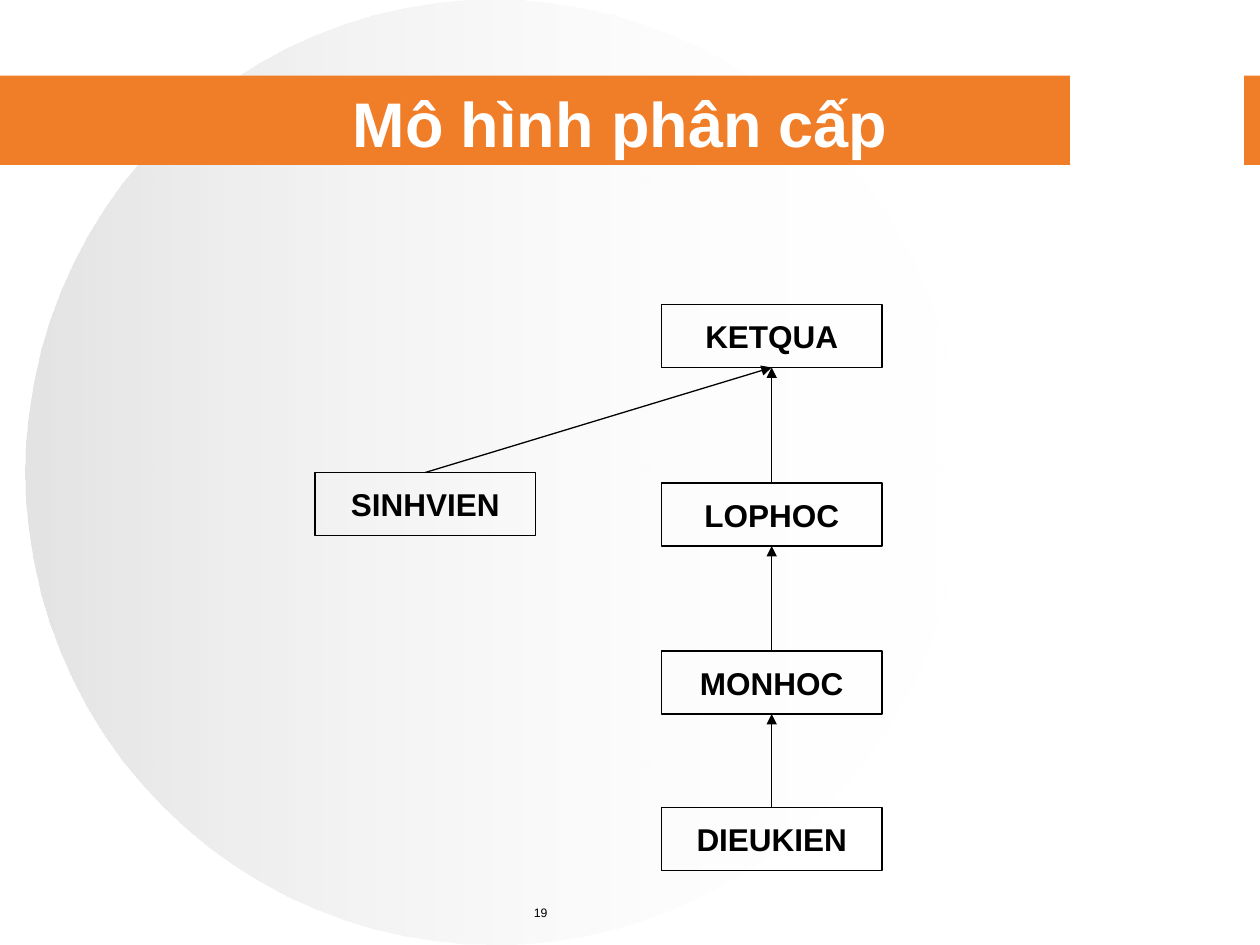
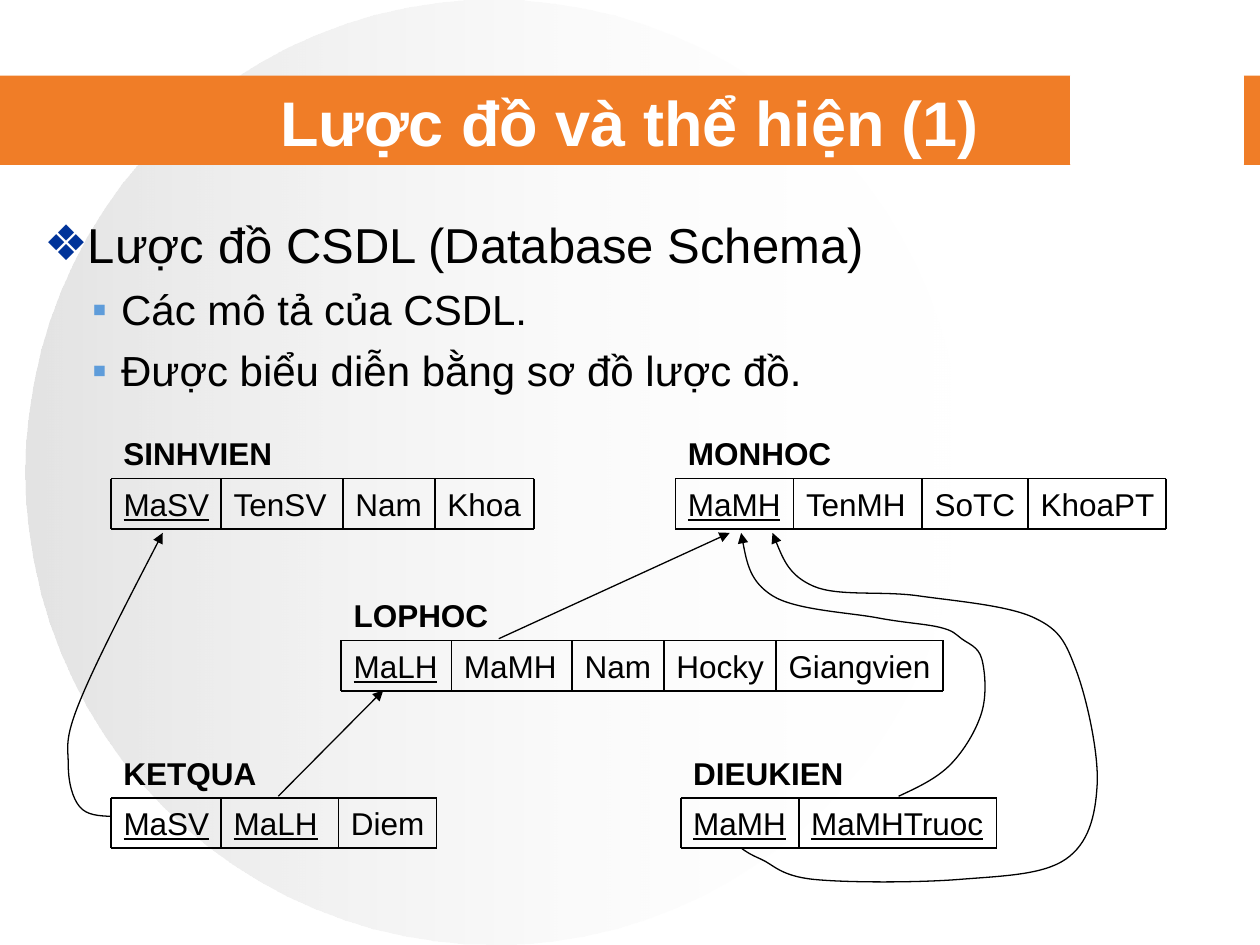
from lxml.etree import SubElement
from pptx import Presentation
from pptx.dml.color import RGBColor
from pptx.enum.shapes import MSO_CONNECTOR, MSO_SHAPE
from pptx.enum.text import MSO_ANCHOR, MSO_AUTO_SIZE, PP_ALIGN
from pptx.oxml.ns import qn
from pptx.util import Pt

COLORS = {
    "ink": "000000",
    "paper": "FFFFFF",
    "band": "F07D27",
    "disc": "C0C0C0",
    "diamond": "003399",
    "square": "5E9CDA",
}
FONT = "Arial"


def write(paragraph, text, size, color="ink", bold=False, underline=False):
    run = paragraph.add_run()
    run.text = text
    run.font.name = FONT
    run.font.size = Pt(size)
    run.font.bold = bold
    run.font.underline = underline
    run.font.color.rgb = RGBColor.from_string(COLORS[color])


def style_line(shape, width=0.75, color="ink", arrow=False):
    shape.line.color.rgb = RGBColor.from_string(COLORS[color])
    shape.line.width = Pt(width)
    properties = shape.element.spPr
    if arrow:
        SubElement(properties.find(qn("a:ln")), qn("a:tailEnd"), type="triangle")
    SubElement(properties, qn("a:effectLst"))


prs = Presentation()
prs.slide_width, prs.slide_height = Pt(720), Pt(540)
hierarchy = prs.slides.add_slide(prs.slide_layouts[5])
schema = prs.slides.add_slide(prs.slide_layouts[1])

# Shared background: fading disc, orange band and white gap, moved to the master
disc = hierarchy.shapes.add_shape(MSO_SHAPE.OVAL, Pt(14.5), 0, Pt(535.5), Pt(540))
disc.fill.gradient()
disc.fill.gradient_angle = 0
for stop, color, opacity in zip(disc.fill.gradient_stops, ("disc", "paper"), (44, 0)):
    stop.color.rgb = RGBColor.from_string(COLORS[color])
for tint, opacity in zip(disc.element.spPr.iter(qn("a:srgbClr")), (44, 0)):
    SubElement(tint, qn("a:alpha"), val=str(opacity * 1000))
disc.line.fill.background()
disc.shadow.inherit = False

band = hierarchy.shapes.add_shape(MSO_SHAPE.RECTANGLE, 0, Pt(43.2), Pt(720), Pt(51))
band.fill.solid()
band.fill.fore_color.rgb = RGBColor.from_string(COLORS["band"])
band.line.fill.background()
band.shadow.inherit = False

gap = hierarchy.shapes.add_shape(MSO_SHAPE.RECTANGLE, Pt(612), Pt(43.2), Pt(98.5), Pt(51))
gap.fill.solid()
gap.fill.fore_color.rgb = RGBColor.from_string(COLORS["paper"])
style_line(gap, color="paper")

for order, backdrop in enumerate((disc, band, gap)):
    backdrop.element.nvSpPr.cNvPr.set("id", str(20 + order))
    prs.slide_master.shapes.element.insert(2 + order, backdrop.element)

# Titles
for slide, heading, left, top in [
    (hierarchy, "Mô hình phân cấp", 12.5, 44.6),
    (schema, "Lược đồ và thể hiện (1)", 18, 43.9),
]:
    title = slide.shapes.title
    title.left, title.top, title.width, title.height = Pt(left), Pt(top), Pt(684), Pt(51)
    title.text_frame.vertical_anchor = MSO_ANCHOR.MIDDLE
    title.text_frame.auto_size = MSO_AUTO_SIZE.NONE
    paragraph = title.text_frame.paragraphs[0]
    paragraph.alignment = PP_ALIGN.CENTER
    write(paragraph, heading, 36, "paper", bold=True)

# Slide 1: record types
records = {}
for name, left, top in [
    ("SINHVIEN", 180, 270),
    ("KETQUA", 378, 174),
    ("MONHOC", 378, 372),
    ("LOPHOC", 378, 276),
    ("DIEUKIEN", 378, 461.5),
]:
    record = hierarchy.shapes.add_shape(
        MSO_SHAPE.RECTANGLE, Pt(left), Pt(top), Pt(126), Pt(36))
    record.fill.background()
    style_line(record)
    record.text_frame.word_wrap = False
    record.text_frame.vertical_anchor = MSO_ANCHOR.MIDDLE
    paragraph = record.text_frame.paragraphs[0]
    paragraph.alignment = PP_ALIGN.CENTER
    write(paragraph, name, 18, bold=True)
    records[name] = record

# Slide 1: arrows from the top of one record to the bottom of the next
for lower, upper in [
    ("SINHVIEN", "KETQUA"),
    ("LOPHOC", "KETQUA"),
    ("MONHOC", "LOPHOC"),
    ("DIEUKIEN", "MONHOC"),
]:
    link = hierarchy.shapes.add_connector(MSO_CONNECTOR.STRAIGHT, 0, 0, 0, 0)
    link.begin_connect(records[lower], 0)
    link.end_connect(records[upper], 2)
    style_line(link, arrow=True)

# Slide 1: page number
page_number = hierarchy.shapes.add_textbox(Pt(276), Pt(515), Pt(66), Pt(21))
page_number.text_frame.word_wrap = True
paragraph = page_number.text_frame.paragraphs[0]
paragraph.alignment = PP_ALIGN.CENTER
paragraph.line_spacing = 0.87
write(paragraph, "19", 7)

# Slide 2: bulleted list
outline = schema.placeholders[1]
outline.left, outline.top, outline.width, outline.height = Pt(18), Pt(119), Pt(684), Pt(399)
outline.text_frame.auto_size = MSO_AUTO_SIZE.NONE
for index, (text, level) in enumerate([
    ("Lược đồ CSDL (Database Schema)", 0),
    ("Các mô tả của CSDL.", 1),
    ("Được biểu diễn bằng sơ đồ lược đồ.", 1),
]):
    size, bullet, color, margin, indent, space = [
        (28, "❖", "diamond", 20.25, -20.25, 0),
        (24, "▪", "square", 44, -16.5, 6),
    ][level]
    frame = outline.text_frame
    paragraph = frame.add_paragraph() if index else frame.paragraphs[0]
    paragraph.level = level
    properties = paragraph._p.get_or_add_pPr()
    properties.set("marL", str(Pt(margin)))
    properties.set("indent", str(Pt(indent)))
    SubElement(SubElement(properties, qn("a:buClr")), qn("a:srgbClr"), val=COLORS[color])
    SubElement(properties, qn("a:buChar"), char=bullet)
    paragraph.space_before = Pt(space)
    write(paragraph, text, size)

# Slide 2: relations as name, top, column edges, fields and number of key fields
ROW = 28.8
relations = [
    ("SINHVIEN", 273.5, [63.5, 126.5, 196, 248.5, 305],
     ["MaSV", "TenSV", "Nam", "Khoa"], 1),
    ("MONHOC", 273.5, [386, 453.5, 527, 587.5, 666.5],
     ["MaMH", "TenMH", "SoTC", "KhoaPT"], 1),
    ("LOPHOC", 366, [195, 258, 327, 379.5, 443.5, 539],
     ["MaLH", "MaMH", "Nam", "Hocky", "Giangvien"], 1),
    ("KETQUA", 456, [63.5, 126.5, 193.5, 249.5],
     ["MaSV", "MaLH", "Diem"], 2),
    ("DIEUKIEN", 456, [389, 456.5, 569.5],
     ["MaMH", "MaMHTruoc"], 2),
]
for name, top, edges, fields, key_count in relations:
    first, last, bottom = edges[0], edges[-1], top + ROW
    labels = [(name, first, last, top - ROW, True, False)]
    for position, field in enumerate(fields):
        labels.append((field, edges[position], edges[position + 1], top,
                       False, position < key_count))
    for text, left, right, label_top, bold, is_key in labels:
        label = schema.shapes.add_textbox(
            Pt(left), Pt(label_top), Pt(right - left), Pt(ROW))
        label.text_frame.word_wrap = True
        label.text_frame.margin_right = 0
        write(label.text_frame.paragraphs[0], text, 18, bold=bold, underline=is_key)

    rules = [(first, y, last, y) for y in (top, bottom)]
    rules += [(x, top, x, bottom) for x in edges]
    for ends in rules:
        rule = schema.shapes.add_connector(
            MSO_CONNECTOR.STRAIGHT, *[Pt(value) for value in ends])
        style_line(rule, width=1)

# Slide 2: straight references
for ends in [(285, 365, 417, 304.5), (159, 455, 219, 394.5)]:
    reference = schema.shapes.add_connector(
        MSO_CONNECTOR.STRAIGHT, *[Pt(value) for value in ends])
    style_line(reference, arrow=True)

# Slide 2: curved references, smooth through their knots
for knots in [
    [(63.5, 466.5), (45.5, 461), (39, 437), (45.5, 401), (93, 304.5)],
    [(423.5, 484.5), (435, 491), (465, 502.5), (548.5, 502.5), (609, 491), (627, 448.5),
     (615, 383), (591, 353), (525, 340.5), (465, 335), (441.5, 304.5)],
    [(513.5, 455), (543, 437), (561, 407), (561, 376.5), (549.5, 365), (537, 358.5),
     (501, 353), (441.5, 340.5), (423.5, 304.5)],
]:
    # Each inner knot's handles follow the line between its neighbours
    before, after = {}, {}
    for i in range(1, len(knots) - 1):
        (x0, y0), (x, y), (x1, y1) = knots[i - 1:i + 2]
        dx, dy = (x1 - x0) / 6, (y1 - y0) / 6
        before[i], after[i] = (x - dx, y - dy), (x + dx, y + dy)
    end = len(knots) - 1
    after[0] = [(a + b) / 2 for a, b in zip(knots[0], before[1])]
    before[end] = [(a + b) / 2 for a, b in zip(knots[end], after[end - 1])]

    points = []
    for i in range(end):
        points += [after[i], before[i + 1], knots[i + 1]]
    builder = schema.shapes.build_freeform(*[Pt(value) for value in knots[0]])
    builder.add_line_segments([(Pt(x), Pt(y)) for x, y in points], close=False)
    curve = builder.convert_to_shape()
    curve.fill.background()
    style_line(curve, arrow=True)

    # Every three line steps become one Bézier step
    steps = list(curve.element.iter(qn("a:lnTo")))
    for bend, *others in zip(steps[::3], steps[1::3], steps[2::3]):
        bend.tag = qn("a:cubicBezTo")
        for step in others:
            bend.append(step[0])
            step.getparent().remove(step)

prs.save("out.pptx")
